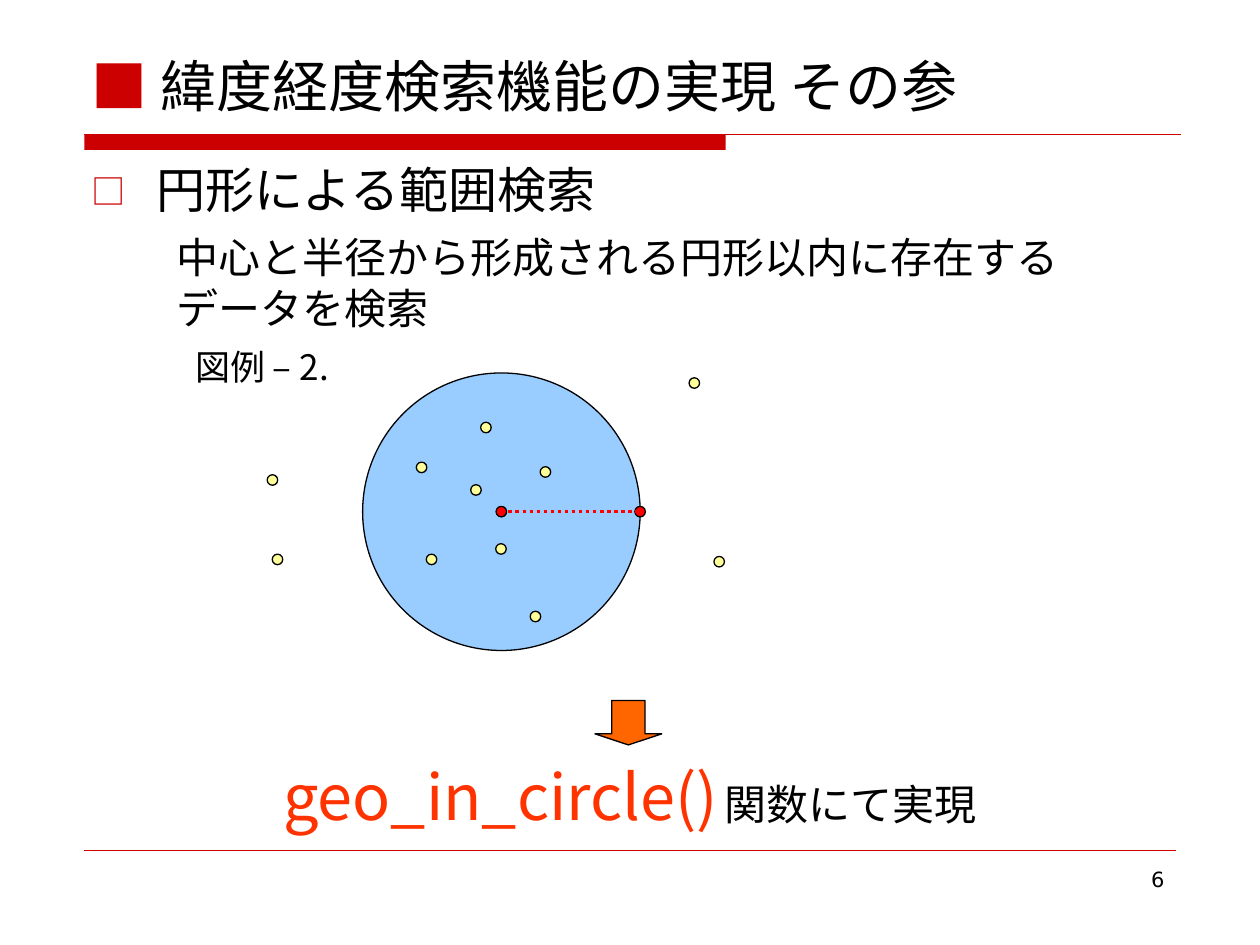
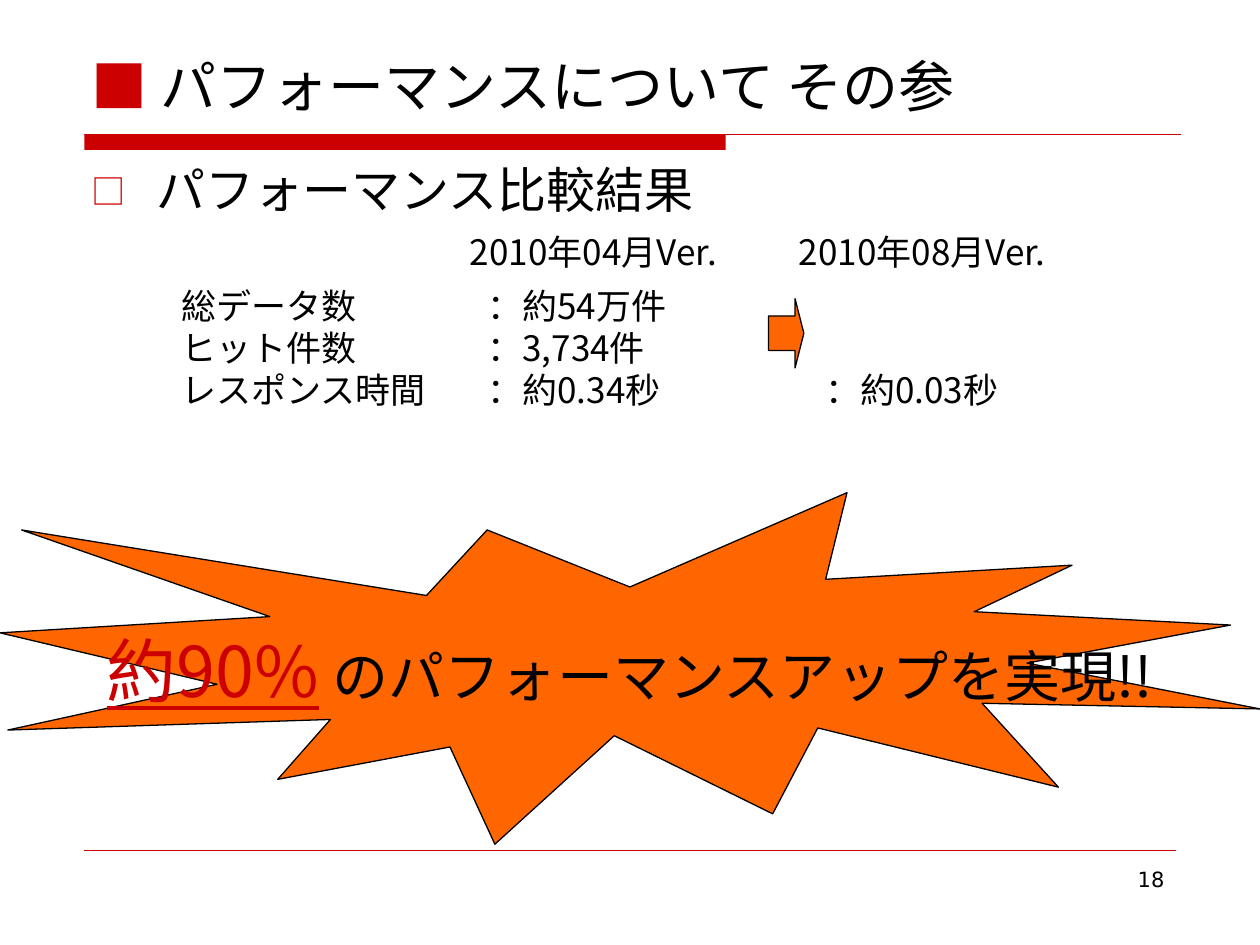
from lxml.etree import SubElement as Sub
from pptx import Presentation
from pptx.dml.color import RGBColor
from pptx.enum.dml import MSO_LINE as Dash
from pptx.enum.shapes import MSO_CONNECTOR as Conn, MSO_SHAPE as Kind
from pptx.enum.text import MSO_ANCHOR as Anchor, MSO_AUTO_SIZE as Auto, PP_ALIGN as Align
from pptx.oxml.ns import qn
from pptx.util import Pt

BLACK = RGBColor(0, 0, 0)
CRIMSON = RGBColor(0xCC, 0, 0)
RED = RGBColor(0xFF, 0, 0)
CORAL = RGBColor(0xFF, 0x33, 0)
ORANGE = RGBColor(0xFF, 0x66, 0)
BLUE = RGBColor(0x99, 0xCC, 0xFF)
YELLOW = RGBColor(0xFF, 0xFF, 0x99)
FONT = "Noto Sans CJK JP"
PLAIN = "DejaVu Sans"
LEFT = 48.24
DOT = 6
CENTER, RIM, MID = 286.5, 365.8, 292.4
POINTS = [
    (411, 321), (396.8, 218.9), (240.9, 267.1), (246.6, 319.7),
    (277.7, 244.3), (155.7, 274.3), (158.6, 319.7), (286.3, 313.7),
    (272, 280), (306, 352.3), (311.7, 269.7),
]


def style(run, size, color=BLACK, face=FONT, under=False):
    """Format a run, for Latin and East Asian letters alike."""
    font = run.font
    font.size, font.name, font.underline = Pt(size), face, under
    font.color.rgb = color
    Sub(run._r.get_or_add_rPr(), qn("a:ea")).set("typeface", face)


def fill_runs(para, parts):
    """Add runs given as (text, size, colour, ...)."""
    for text, *look in parts:
        run = para.add_run()
        run.text = text
        style(run, *look)


def place(shape, x, y, w, h):
    """Move and size a shape in points."""
    shape.left, shape.top, shape.width, shape.height = Pt(x), Pt(y), Pt(w), Pt(h)
    shape.text_frame.auto_size = Auto.NONE


def add_text(slide, x, y, w, h, lines, align=Align.LEFT, wrap=False):
    """Add a text box; each line is a list of runs."""
    frame = slide.shapes.add_textbox(Pt(x), Pt(y), Pt(w), Pt(h)).text_frame
    frame.word_wrap = wrap
    for i, parts in enumerate(lines):
        para = frame.add_paragraph() if i else frame.paragraphs[0]
        para.alignment = align
        fill_runs(para, parts)


def add_form(slide, kind, x, y, w, h, color, edge=BLACK):
    """Add a filled preset shape, outlined if an edge is given."""
    form = slide.shapes.add_shape(kind, Pt(x), Pt(y), Pt(w), Pt(h))
    form.shadow.inherit = False
    form.fill.solid()
    form.fill.fore_color.rgb = color
    if edge is None:
        form.line.fill.background()
    else:
        form.line.color.rgb = edge
        form.line.width = Pt(0.75)
    return form


def add_arrow(slide, kind, *area):
    """Add an orange block arrow."""
    arrow = add_form(slide, kind, *area, ORANGE)
    arrow.adjustments[0], arrow.adjustments[1] = 0.5, 0.25


def add_dot(slide, x, y, color):
    """Add a dot around a centre."""
    add_form(slide, Kind.OVAL, x - DOT / 2, y - DOT / 2, DOT, DOT, color)


def add_line(slide, x, end, y, color, width, dash=None):
    """Add a level line."""
    line = slide.shapes.add_connector(Conn.STRAIGHT, Pt(x), Pt(y), Pt(end), Pt(y))
    line.line.color.rgb = color
    line.line.width = Pt(width)
    line.line.dash_style = dash
    Sub(line._element.spPr, qn("a:effectLst"))


def add_bullet(para):
    """Give a paragraph a hanging box bullet."""
    para.line_spacing, para.space_before = 0.9, Pt(7)
    props = para._p.get_or_add_pPr()
    props.set("marL", str(Pt(36.7)))
    props.set("indent", str(-Pt(36.7)))
    Sub(Sub(props, qn("a:buClr")), qn("a:srgbClr")).set("val", str(CRIMSON))
    Sub(props, qn("a:buSzPct")).set("val", "70000")
    Sub(props, qn("a:buFont")).set("typeface", FONT)
    Sub(props, qn("a:buChar")).set("char", "□")


def add_page(deck, title, head, number):
    """Add a slide with title, bands, heading and page number."""
    slide = deck.slides.add_slide(deck.slide_layouts[1])
    top, body = slide.placeholders
    place(top, 45.36, 23.76, 630, 47.52)
    top.text_frame.vertical_anchor = Anchor.BOTTOM
    para = top.text_frame.paragraphs[0]
    para.alignment = Align.LEFT
    fill_runs(para, [("■ ", 32, CRIMSON), (title, 32)])

    place(body, 45.36, 91.44, 630, 25.2)
    body.text_frame.text = head
    para = body.text_frame.paragraphs[0]
    style(para.runs[0], 28)
    add_bullet(para)

    add_form(slide, Kind.RECTANGLE, LEFT, 77, 366.5, 8.64, CRIMSON, None)
    add_line(slide, LEFT, 674.64, 77, CRIMSON, 0.75)
    add_line(slide, LEFT, 671.76, 486, CRIMSON, 0.25)
    add_text(slide, 516.24, 491.76, 156.24, 37.44,
             [[(number, 12, BLACK, PLAIN)]], Align.RIGHT, True)
    return slide


def add_circle(deck):
    """Build the slide on searching within a circle."""
    slide = add_page(deck, "緯度経度検索機能の実現 その参", "円形による範囲検索", "6")
    span = 2 * (RIM - CENTER)
    add_form(slide, Kind.OVAL, CENTER - span / 2, MID - span / 2, span, span, BLUE)
    for x, y in POINTS:
        add_dot(slide, x, y, YELLOW)
    for x in (CENTER, RIM):
        add_dot(slide, x, MID, RED)
    add_line(slide, CENTER, RIM, MID, RED, 2, Dash.ROUND_DOT)
    add_text(slide, 93.6, 128.88, 518.4, 64.8, [
        [("中心と半径から形成される円形以内に存在する", 24)],
        [("データを検索", 24)],
    ])
    add_text(slide, 104.4, 193.68, 95.76, 31.68, [[("図例 – 2.", 20)]])
    add_arrow(slide, Kind.DOWN_ARROW, 340, 400.3, 38.2, 25.4)
    add_text(slide, 0, 429.12, 720, 50.4, [[
        ("geo_in_circle()", 36, CORAL), (" ", 18), ("関数にて実現", 24),
    ]], Align.CENTER, True)


def add_speed(deck):
    """Build the slide on the measured speed."""
    slide = add_page(deck, "パフォーマンスについて その参", "パフォーマンス比較結果", "18")
    add_form(slide, Kind.EXPLOSION1, 0, 281.5, 720, 200.9, ORANGE)
    for x, y, w, h, lines, wrap in (
        (96.5, 159.12, 161.3, 79.2, ["総データ数", "ヒット件数", "レスポンス時間"], True),
        (271.4, 159.12, 126.7, 79.2, ["：約54万件", "：3,734件", "：約0.34秒"], False),
        (464.4, 207.1, 123.8, 31.2, ["：約0.03秒"], False),
        (261.4, 128.16, 179.3, 31.68, ["2010年04月Ver."], False),
        (449.3, 128.16, 179.3, 31.68, ["2010年08月Ver."], False),
    ):
        add_text(slide, x, y, w, h, [[(line, 20)] for line in lines], wrap=wrap)
    add_arrow(slide, Kind.RIGHT_ARROW, 439.2, 170.64, 20.16, 39.6)
    add_text(slide, 0, 354.96, 720, 55.44, [[
        ("約90%", 40, CRIMSON, FONT, True), (" ", 36, RED),
        ("のパフォーマンスアップを実現!!", 32),
    ]], Align.CENTER, True)


def main():
    """Build and save the slides."""
    deck = Presentation()
    deck.slide_width, deck.slide_height = Pt(720), Pt(540)
    add_circle(deck)
    add_speed(deck)
    deck.save("out.pptx")


if __name__ == "__main__":
    main()
